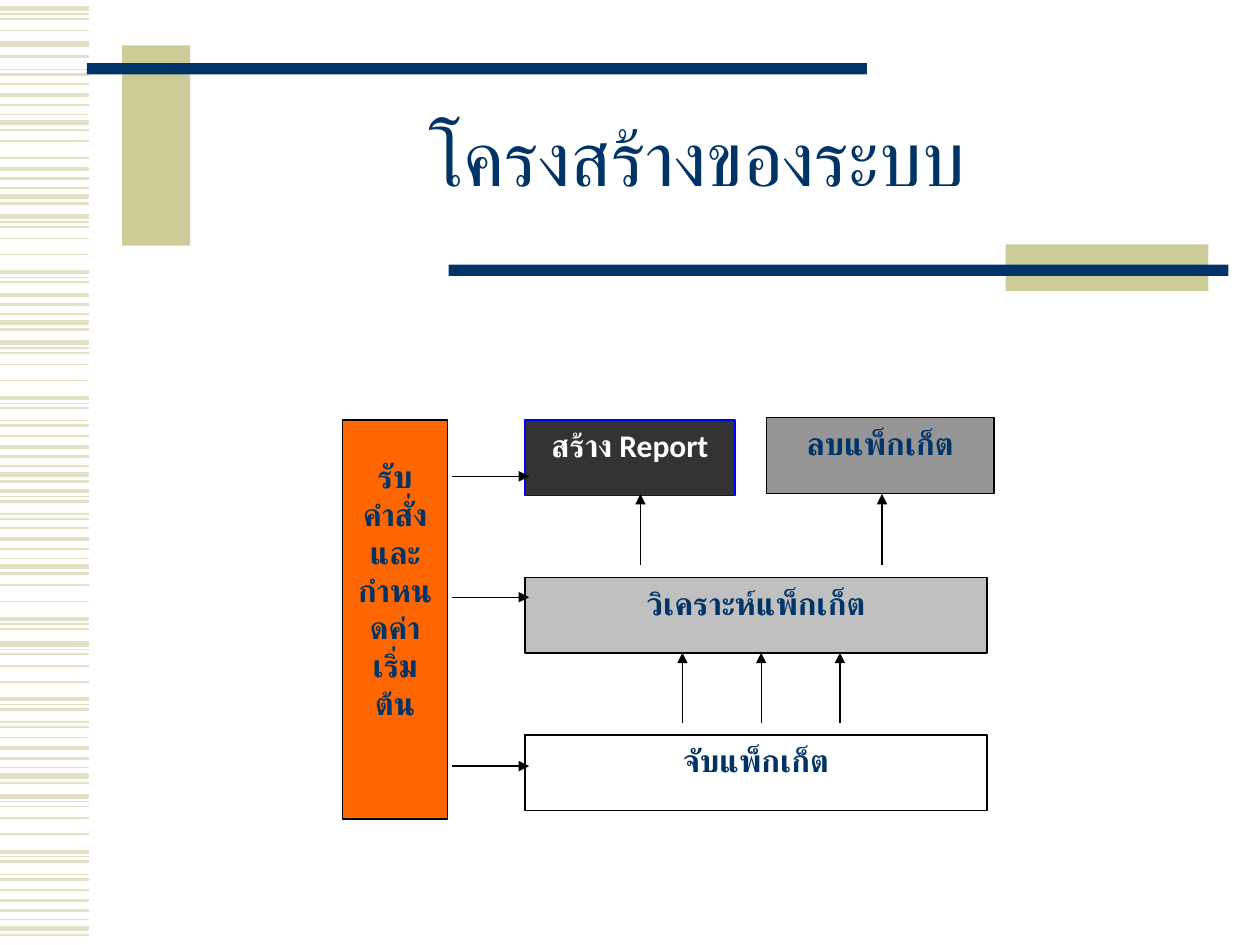
from lxml import etree
from pptx import Presentation
from pptx.dml.color import RGBColor
from pptx.enum.lang import MSO_LANGUAGE_ID
from pptx.enum.shapes import MSO_CONNECTOR, MSO_SHAPE
from pptx.enum.text import MSO_ANCHOR, PP_ALIGN
from pptx.oxml.ns import qn
from pptx.util import Pt

NAVY, KHAKI, STRIPE, BLACK = "003366", "CCCC99", "E3E2C7", "000000"
STRIPE_WIDTH = 51.1

# Stripe motifs: (offset from motif top, line weight)
SHORT = [(0, 1), (6.2, 2.25), (11.9, 1.5), (17.2, 0.75), (22, 3), (26, 1.5)]
LONG = [(0, 3), (3, 0.75), (5.9, 1), (12.5, 1), (21.7, 1), (31.7, 2.25),
        (34.6, 0.75), (37.4, 1.5), (44.6, 0.75), (47.5, 1.5)]
TOP = [(0, 3), (7.2, 1.5), (14.4, 0.75), (17.3, 1.5)]
# Motif tops down the left edge, with the part of the motif used there
STRIPES = [
    (5, LONG[:4]), (25.2, TOP), (48.2, SHORT), (59, LONG[4:5]),
    (90.2, SHORT), (123.8, LONG[:8]), (162.2, SHORT[1:]),
    (195.8, LONG), (249.1, SHORT), (249.1, LONG[5:]),
    (301.8, SHORT), (322, LONG[3:8]), (368, LONG),
    (421.4, SHORT), (455, LONG), (508.4, SHORT),
]


def rgb(value):
    return RGBColor.from_string(value)


def add_line(s, start, end, color, weight, arrow=False):
    c = s.shapes.add_connector(MSO_CONNECTOR.STRAIGHT,
                               *(Pt(v) for v in (*start, *end)))
    c.line.color.rgb = rgb(color)
    c.line.width = Pt(weight)
    if arrow:
        etree.SubElement(c.line._get_or_add_ln(), qn("a:tailEnd"),
                         type="triangle")
    etree.SubElement(c._element.spPr, qn("a:effectLst"))


def add_rect(s, box, fill, line=None):
    sp = s.shapes.add_shape(MSO_SHAPE.RECTANGLE, *(Pt(v) for v in box))
    sp.shadow.inherit = False
    sp.fill.solid()
    sp.fill.fore_color.rgb = rgb(fill)
    if line:
        sp.line.color.rgb = rgb(line)
        sp.line.width = Pt(0.75)
    else:
        sp.line.fill.background()
    return sp


def add_text(sp, lines, size, font, color, bold=False,
             anchor=MSO_ANCHOR.TOP, top=3.6, spacing=None):
    tf = sp.text_frame
    tf.word_wrap = True
    tf.vertical_anchor = anchor
    tf.margin_left = tf.margin_right = Pt(7.2)
    tf.margin_top, tf.margin_bottom = Pt(top), Pt(3.6)
    for i, line in enumerate(lines):
        p = tf.add_paragraph() if i else tf.paragraphs[0]
        p.alignment = PP_ALIGN.CENTER
        if spacing:
            p.line_spacing = spacing
        r = p.add_run()
        r.text = line
        r.font.size, r.font.bold, r.font.name = Pt(size), bold, font
        r.font.color.rgb = rgb(color)
        r.font.language_id = MSO_LANGUAGE_ID.THAI
        # Thai letters take the complex-script font
        etree.SubElement(r.font._element, qn("a:cs"), typeface=font)


def add_decoration(s):
    for top, motif in STRIPES:
        for offset, weight in motif:
            y = top + offset
            add_line(s, (0, y), (STRIPE_WIDTH, y), STRIPE, weight)
    add_rect(s, (69.8, 25.9, 38.9, 114.5), KHAKI)
    add_rect(s, (49.7, 36, 445.7, 6.5), NAVY)
    add_rect(s, (574.6, 139.7, 115.9, 26.6), KHAKI)
    add_rect(s, (256.3, 151.2, 445.7, 6.5), NAVY)


def add_title(s):
    sp = s.shapes.add_textbox(Pt(108), Pt(48.2), Pt(581), Pt(90))
    add_text(sp, ["โครงสร้างของระบบ"], 44, "Times New Roman", NAVY,
             anchor=MSO_ANCHOR.MIDDLE, spacing=0.85)


def add_diagram(s):
    # Modules
    modules = [
        ("สร้าง Report", (300, 240, 120), "333333", "0000FF", "FFFFFF"),
        ("ลบแพ็กเก็ต", (438, 238.8, 130), "969696", BLACK, NAVY),
        ("วิเคราะห์แพ็กเก็ต", (300, 330, 264), "C0C0C0", BLACK, NAVY),
        ("จับแพ็กเก็ต", (300, 420, 264), "FFFFFF", BLACK, NAVY),
    ]
    for label, (x, y, w), fill, line, color in modules:
        sp = add_rect(s, (x, y, w, 43.2), fill, line)
        add_text(sp, [label], 18, "Calibri", color, bold=True)

    # Command input
    sp = add_rect(s, (195.8, 240, 60, 228), "FF6600", BLACK)
    add_text(sp, ["รับ", "คำสั่งและกำหนดค่า", "เริ่มต้น"], 18, "Arial",
             NAVY, bold=True, top=21.3)

    # Arrows from the command input, then upwards between modules
    for y in (437.8, 341.3, 272.2):
        add_line(s, (258.5, y), (302.4, y), BLACK, 0.75, arrow=True)
    for x, bottom in ((366, 322.6), (504, 322.6),
                      (390, 413.3), (435, 413.3), (480, 413.3)):
        add_line(s, (x, bottom), (x, bottom - 40.3), BLACK, 0.75, arrow=True)


def main():
    prs = Presentation()
    prs.slide_width, prs.slide_height = Pt(720), Pt(540)
    s = prs.slides.add_slide(prs.slide_layouts[6])
    add_decoration(s)
    add_title(s)
    add_diagram(s)
    prs.save("out.pptx")


if __name__ == "__main__":
    main()
